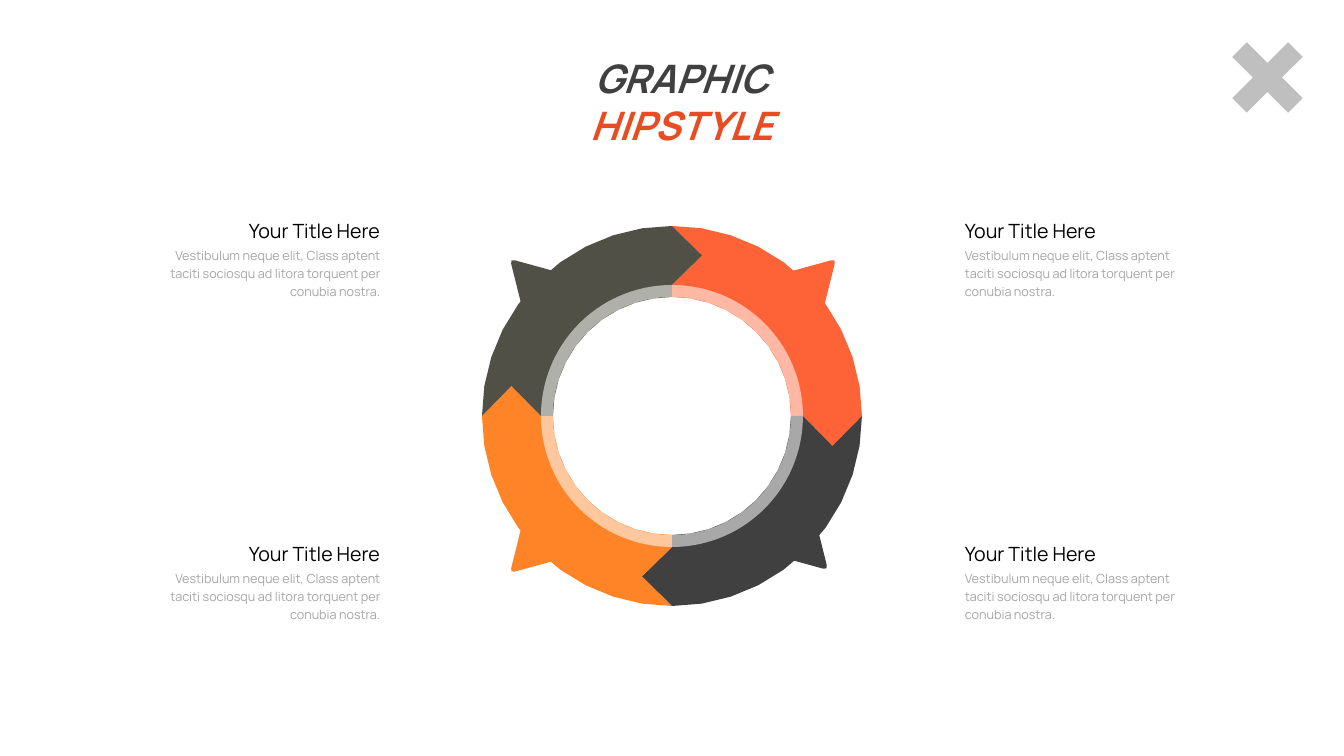
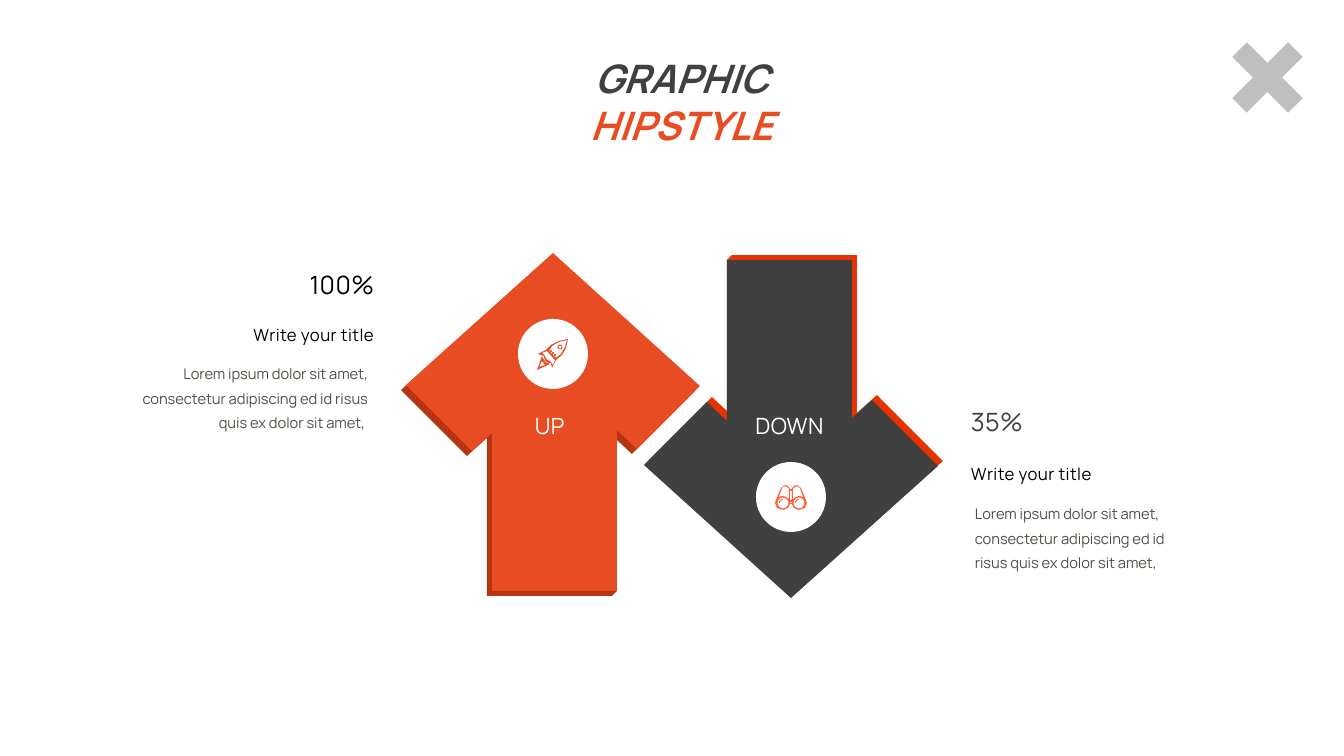
from math import cos, dist, radians, sin

from lxml.etree import SubElement
from pptx import Presentation
from pptx.dml.color import RGBColor
from pptx.enum.shapes import MSO_SHAPE as Shape
from pptx.enum.text import PP_ALIGN as Align
from pptx.oxml.ns import qn
from pptx.util import Emu, Pt

PX = 12192000 / 1344
FONT = "Manrope"
CHARCOAL, OLIVE, WHITE, BLACK = "404040", "505046", "FFFFFF", "000000"
RED, CORAL, AMBER, SILVER, GRAY = "E84C22", "FE6237", "FF8427", "BFBFBF", "A6A6A6"

TITLE = [("GRAPHIC", CHARCOAL), (" HIPSTYLE", RED)]

CENTER = (672, 416)
OUTER, BAND, INNER, NOTCH = 190, 131, 119, 30
SEGMENTS = [CORAL, CHARCOAL, AMBER, OLIVE]
POINTER = [(163, 158), (112, 144), (150, 106)]
POINTERS = [
    (1, 1, -7, -4, CHARCOAL),
    (1, -1, 1, -1, CORAL),
    (-1, -1, -1, -1, OLIVE),
    (-1, 1, -1, -1, AMBER),
]
CAPTION = (
    "Your Title Here",
    "Vestibulum neque elit, Class aptent taciti sociosqu ad litora torquent per conubia nostra.",
)
CAPTION_COLUMNS = [(159, Align.RIGHT), (955, Align.LEFT)]
CAPTION_ROWS = [209, 532]

LOREM = "Lorem ipsum dolor sit amet, consectetur adipiscing ed id risus quis ex dolor sit amet,"
STATISTICS = [
    dict(value="100%", color=BLACK, value_box=(291, 264, 93, 40), title_box=(232, 320, 152, 30),
         body=LOREM + " ", body_box=(105, 353, 273, 109), align=Align.RIGHT),
    dict(value="35%", color=CHARCOAL, value_box=(961, 401, 77, 40), title_box=(961, 459, 152, 30),
         body=LOREM, body_box=(965, 493, 245, 109), align=Align.LEFT),
]
ARROW = [(553, 253), (700, 386), (637, 449), (617, 430), (617, 591),
         (492, 591), (492, 433), (472, 451), (406, 385)]
DEPTH = 5
ARROWS = [
    dict(label="UP ", face=RED, side="B53513", turned=False, disc=(518, 319),
         label_box=(520, 407, 64, 36)),
    dict(label="DOWN", face=CHARCOAL, side="E73301", turned=True, disc=(756, 462),
         label_box=(742, 407, 95, 36)),
]
ROCKET_HULL = [(568, 339), (559, 341), (551, 345), (546, 350), (538, 354), (544, 356), (545, 361),
               (549, 363), (551, 363), (552, 368), (556, 360), (562, 355), (566, 348)]
ROCKET_BODY = [(567, 340), (559, 342), (552, 346), (549, 351), (556, 358), (561, 354), (565, 347)]
ROCKET_FINS = [(555, 360), (553, 365), (550, 361), (547, 360), (545, 356), (542, 353), (547, 351)]
ROCKET_FLAME = [(542, 356), (537, 370), (550, 364), (545, 362)]
ROCKET_FLAME_CORE = [(542, 361), (539, 367), (545, 365)]
ROCKET_WINDOW = (560, 347)
ROCKET_DOTS = [(551, 351), (553, 353), (555, 355)]

BINOCULARS_AXIS = 791
BINOCULARS_HALF = [(790, 489), (788, 486), (785, 485), (781, 488), (776, 500), (775, 503),
                   (777, 508), (783, 510), (788, 508), (790, 504)]
BARREL = [(789, 499), (789, 489), (787, 487), (785, 486), (782, 488), (779, 497), (783, 496),
          (786, 497)]
LENS = (783, 503)
BRIDGES = [(491, 500), (502, 503)]


def emu(length):
    return Emu(round(length * PX))


def color_of(value):
    return RGBColor.from_string(value)


def paint(shape, fill, opacity=None):
    shape.shadow.inherit = False
    shape.fill.solid()
    shape.fill.fore_color.rgb = color_of(fill)
    if opacity:
        tint = shape.fill._xPr.find(qn("a:solidFill"))[0]
        SubElement(tint, qn("a:alpha")).set("val", str(opacity * 1000))
    shape.line.fill.background()
    return shape


def add_preset(slide, kind, left, top, size, fill, opacity=None):
    shape = slide.shapes.add_shape(kind, emu(left), emu(top), emu(size), emu(size))
    return paint(shape, fill, opacity)


def add_outline(slide, contours, fill):
    scaled = [[(emu(x), emu(y)) for x, y in points] for points in contours]
    builder = slide.shapes.build_freeform(*scaled[0][0], scale=1.0)
    for index, (start, *rest) in enumerate(scaled):
        if index:
            builder.move_to(*start)
        builder.add_line_segments(rest, close=True)
    return paint(builder.convert_to_shape(), fill)


def add_text(slide, text, left, top, width, height, size=12, color=BLACK, align=Align.LEFT,
             leading=None, bold=False, italic=False, tracking=None):
    box = slide.shapes.add_textbox(emu(left), emu(top), emu(width), emu(height))
    box.text_frame.word_wrap = True
    paragraph = box.text_frame.paragraphs[0]
    paragraph.alignment = align
    if leading:
        paragraph.line_spacing = leading
    for words, tint in [(text, color)] if isinstance(text, str) else text:
        run = paragraph.add_run()
        run.text = words
        font = run.font
        font.name, font.size, font.bold, font.italic = FONT, Pt(size), bold, italic
        font.color.rgb = color_of(tint)
        if tracking:
            run._r.get_or_add_rPr().set("spc", str(tracking))
    return box


def add_page(presentation):
    slide = presentation.slides.add_slide(presentation.slide_layouts[6])
    cross = add_preset(slide, Shape.CROSS, 1228, 38, 79, SILVER)
    cross.adjustments[0] = 0.37
    cross.rotation = 45
    add_text(slide, TITLE, 492, 49, 379, 104, size=28, align=Align.CENTER, bold=True, italic=True)
    return slide


def polar(center, radius, angle):
    return (center[0] + radius * cos(radians(angle)), center[1] + radius * sin(radians(angle)))


def arc(center, radius, start, end, steps=10):
    return [polar(center, radius, start + (end - start) * step / steps)
            for step in range(steps + 1)]


def circle(center, radius, sides=12):
    return arc(center, radius, 0, 360, sides)[:-1]


def toward(point, target, share):
    return tuple(a + (b - a) * share for a, b in zip(point, target))


def rounded(points, radius=5):
    result = []
    for index, corner in enumerate(points):
        before, after = points[index - 1], points[(index + 1) % len(points)]
        enter = toward(corner, before, radius / dist(corner, before))
        leave = toward(corner, after, radius / dist(corner, after))
        result += [enter, toward(toward(enter, leave, 0.5), corner, 0.5), leave]
    return result


def segment_points(start):
    end, middle = start + 90, (OUTER + BAND) / 2

    def notch(angle):
        return polar(polar(CENTER, middle, angle), NOTCH, angle + 90)

    return (arc(CENTER, INNER, start, end) + [polar(CENTER, BAND, end), notch(end)]
            + arc(CENTER, OUTER, end, start) + [notch(start), polar(CENTER, BAND, start)])


def build_cycle(presentation):
    slide = add_page(presentation)
    x, y = CENTER
    for index, color in enumerate(SEGMENTS):
        add_outline(slide, [segment_points(90 * index - 90)], color)
    ring = add_preset(slide, Shape.DONUT, x - BAND, y - BAND, 2 * BAND, WHITE, opacity=55)
    ring.adjustments[0] = (BAND - INNER) / (2 * BAND)
    for side_x, side_y, shift_x, shift_y, color in POINTERS:
        corners = [(x + side_x * (a + shift_x), y + side_y * (b + shift_y)) for a, b in POINTER]
        add_outline(slide, [rounded(corners)], color)
    heading, body = CAPTION
    for left, align in CAPTION_COLUMNS:
        for top in CAPTION_ROWS:
            add_text(slide, heading, left, top, 231, 38, size=14, align=align, leading=1.2)
            add_text(slide, body, left, top + 31, 231, 64, size=9, color=GRAY, align=align,
                     leading=1.2)


def rocket_contours():
    window = [circle(ROCKET_WINDOW, radius) for radius in (2.5, 1.5)]
    dots = [circle(dot, 1, 6) for dot in ROCKET_DOTS]
    return [ROCKET_HULL, ROCKET_BODY, ROCKET_FINS, ROCKET_FLAME, ROCKET_FLAME_CORE] + window + dots


def binoculars_contours():
    def mirrored(points):
        return [(2 * BINOCULARS_AXIS - x, y) for x, y in points]

    silhouette = BINOCULARS_HALF + mirrored(BINOCULARS_HALF)[::-1]
    bridges = [[(790, top), (792, top), (792, bottom), (790, bottom)] for top, bottom in BRIDGES]
    glint = arc(LENS, 4, 180, 270, 4) + arc(LENS, 3, 270, 180, 4)
    shift = 2 * (BINOCULARS_AXIS - LENS[0])
    glint_right = [(x + shift, y) for x, y in glint]
    pairs = [half for points in (BARREL, circle(LENS, 5.5))
             for half in (points, mirrored(points))]
    return [silhouette] + bridges + pairs + [glint, glint_right]


def build_arrows(presentation):
    slide = add_page(presentation)
    for item in STATISTICS:
        align = item["align"]
        add_text(slide, "Write your title", *item["title_box"], align=align, tracking=30)
        add_text(slide, item["body"], *item["body_box"], size=10.5, color=OLIVE, align=align,
                 leading=1.4)
        add_text(slide, item["value"], *item["value_box"], size=18, color=item["color"],
                 align=align, tracking=30)
    shifted = [(x - DEPTH, y + DEPTH) for x, y in ARROW]
    armpit, foot = ARROW[3:5]
    side = shifted[:3] + [(armpit[0], armpit[1] + 2 * DEPTH), foot] + shifted[4:]
    icons = [(rocket_contours(), RED), (binoculars_contours(), CORAL)]
    for arrow, icon in zip(ARROWS, icons):
        for points, color in ((side, arrow["side"]), (ARROW, arrow["face"])):
            if arrow["turned"]:
                points = [(1344 - x, 851 - y) for x, y in points]
            add_outline(slide, [points], color)
        add_preset(slide, Shape.OVAL, *arrow["disc"], 70, WHITE)
        add_outline(slide, *icon)
        add_text(slide, arrow["label"], *arrow["label_box"], size=16, color=WHITE,
                 align=Align.CENTER, tracking=30)


def main():
    presentation = Presentation()
    presentation.slide_width, presentation.slide_height = emu(1344), emu(756)
    build_cycle(presentation)
    build_arrows(presentation)
    presentation.save("out.pptx")


if __name__ == "__main__":
    main()
